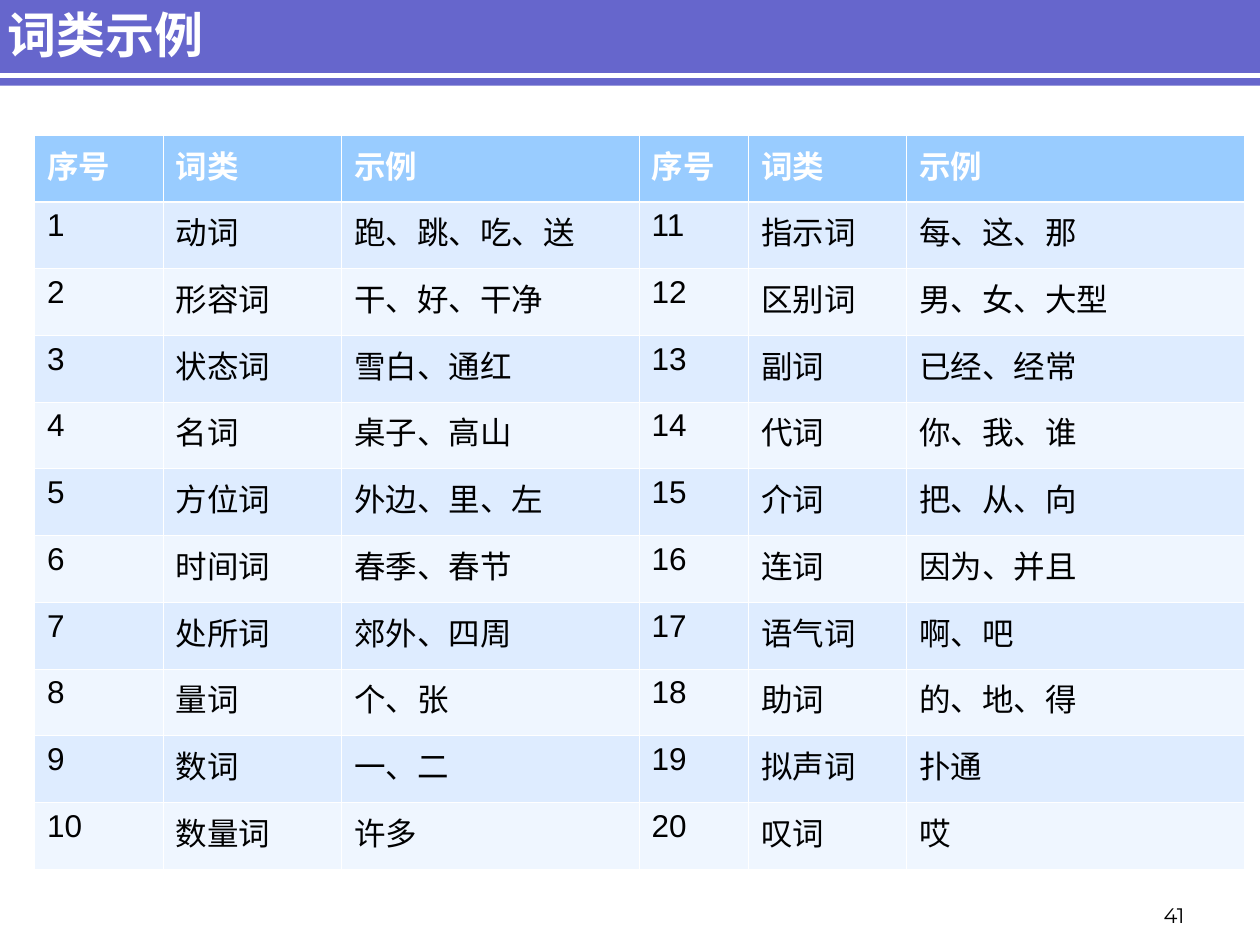
import lxml.etree
import pptx
import pptx.dml.color
import pptx.enum.shapes
import pptx.enum.text
import pptx.oxml.ns
import pptx.util

Pt = pptx.util.Pt
RGBColor = pptx.dml.color.RGBColor
Anchor = pptx.enum.text.MSO_ANCHOR
Align = pptx.enum.text.PP_ALIGN
qn = pptx.oxml.ns.qn

PURPLE = RGBColor(0x66, 0x66, 0xCC)
WHITE = RGBColor(0xFF, 0xFF, 0xFF)
BLACK = RGBColor(0x00, 0x00, 0x00)
HEADER_BLUE = RGBColor(0x99, 0xCC, 0xFF)
ROW_BLUES = [RGBColor(0xDE, 0xEC, 0xFF), RGBColor(0xEF, 0xF6, 0xFF)]

HEADINGS = ["序号", "词类", "示例"]
WORD_CLASSES = [
    ("动词", "跑、跳、吃、送"),
    ("形容词", "干、好、干净"),
    ("状态词", "雪白、通红"),
    ("名词", "桌子、高山"),
    ("方位词", "外边、里、左"),
    ("时间词", "春季、春节"),
    ("处所词", "郊外、四周"),
    ("量词", "个、张"),
    ("数词", "一、二"),
    ("数量词", "许多"),
    ("指示词", "每、这、那"),
    ("区别词", "男、女、大型"),
    ("副词", "已经、经常"),
    ("代词", "你、我、谁"),
    ("介词", "把、从、向"),
    ("连词", "因为、并且"),
    ("语气词", "啊、吧"),
    ("助词", "的、地、得"),
    ("拟声词", "扑通"),
    ("叹词", "哎"),
]
COLUMN_WIDTHS = [73.5, 102, 170, 62.5, 90.5, 193]
ROW_HEIGHT = 38.15
THIN, THICK = 0.45, 1.47


class SlideBuilder:
    """Holds the text style and the current slide, and adds its elements."""

    east_asian_font = "Noto Sans CJK SC"

    def __init__(self, deck):
        self.slide = deck.slides.add_slide(deck.slide_layouts[5])

    def set_text(self, frame, text, size, color, font="Arial", bold=False, align=Align.LEFT):
        frame.text = text
        para = frame.paragraphs[0]
        para.alignment = align
        span = para.runs[0]
        span.font.size = Pt(size)
        span.font.bold = bold
        span.font.name = font
        span.font.color.rgb = color
        properties = span.font._element
        lxml.etree.SubElement(properties, qn("a:ea"), typeface=self.east_asian_font)

    def band(self, left, top, width, height, color):
        box = self.slide.shapes.add_shape(
            pptx.enum.shapes.MSO_SHAPE.RECTANGLE, Pt(left), Pt(top), Pt(width), Pt(height))
        box.shadow.inherit = False
        box.fill.solid()
        box.fill.fore_color.rgb = color
        box.line.fill.background()

    def rule(self, left, right, top, color, weight):
        line = self.slide.shapes.add_connector(
            pptx.enum.shapes.MSO_CONNECTOR.STRAIGHT, Pt(left), Pt(top), Pt(right), Pt(top))
        line.line.color.rgb = color
        line.line.width = Pt(weight)
        lxml.etree.SubElement(line._element.spPr, qn("a:effectLst"))

    def title(self, text, left, top, width, height):
        box = self.slide.shapes.title
        box.left, box.top, box.width, box.height = Pt(left), Pt(top), Pt(width), Pt(height)
        frame = box.text_frame
        frame.auto_size = pptx.enum.text.MSO_AUTO_SIZE.NONE
        frame.vertical_anchor = Anchor.MIDDLE
        self.set_text(frame, text, 28, WHITE, self.east_asian_font, bold=True)
        box._element.getparent().append(box._element)

    def page_number(self, text, left, top, width, height):
        box = self.slide.shapes.add_textbox(Pt(left), Pt(top), Pt(width), Pt(height))
        frame = box.text_frame
        frame.word_wrap = True
        frame.vertical_anchor = Anchor.BOTTOM
        self.set_text(frame, text, 12, BLACK, "Montserrat", align=Align.RIGHT)

    def cell_borders(self, cell, top, bottom):
        properties = cell._tc.get_or_add_tcPr()
        weights = {"a:lnL": THIN, "a:lnR": THIN, "a:lnT": top, "a:lnB": bottom}
        for position, (tag, weight) in enumerate(weights.items()):
            border = lxml.etree.Element(qn(tag), w=str(int(Pt(weight))))
            fill = lxml.etree.SubElement(border, qn("a:solidFill"))
            lxml.etree.SubElement(fill, qn("a:srgbClr"), val=str(WHITE))
            properties.insert(position, border)

    def table(self, rows, left, top):
        table = self.slide.shapes.add_table(
            len(rows), len(COLUMN_WIDTHS), Pt(left), Pt(top),
            Pt(sum(COLUMN_WIDTHS)), Pt(ROW_HEIGHT * len(rows))).table
        for column, width in zip(table.columns, COLUMN_WIDTHS):
            column.width = Pt(width)
        for index, texts in enumerate(rows):
            table.rows[index].height = Pt(ROW_HEIGHT)
            header = index == 0
            for column, text in enumerate(texts):
                cell = table.cell(index, column)
                cell.fill.solid()
                cell.fill.fore_color.rgb = HEADER_BLUE if header else ROW_BLUES[(index - 1) % 2]
                self.set_text(cell.text_frame, text, 18, WHITE if header else BLACK, bold=header)
                self.cell_borders(cell, THICK if index == 1 else THIN, THICK if header else THIN)


def main():
    deck = pptx.Presentation()
    deck.slide_width, deck.slide_height = Pt(720), Pt(540)
    builder = SlideBuilder(deck)
    builder.band(-3, -2, 723, 51, PURPLE)
    builder.rule(-3, 720, 43.2, WHITE, 3)
    builder.title("词类示例", -3, 3.6, 631.5, 31)
    builder.page_number("41", 620.5, 508.5, 63.5, 25)

    numbered = [(str(number), *entry) for number, entry in enumerate(WORD_CLASSES, 1)]
    half = len(numbered) // 2
    pairs = [left + right for left, right in zip(numbered[:half], numbered[half:])]
    builder.table([HEADINGS * 2, *pairs], 19.75, 77.25)
    deck.save("out.pptx")


if __name__ == "__main__":
    main()
